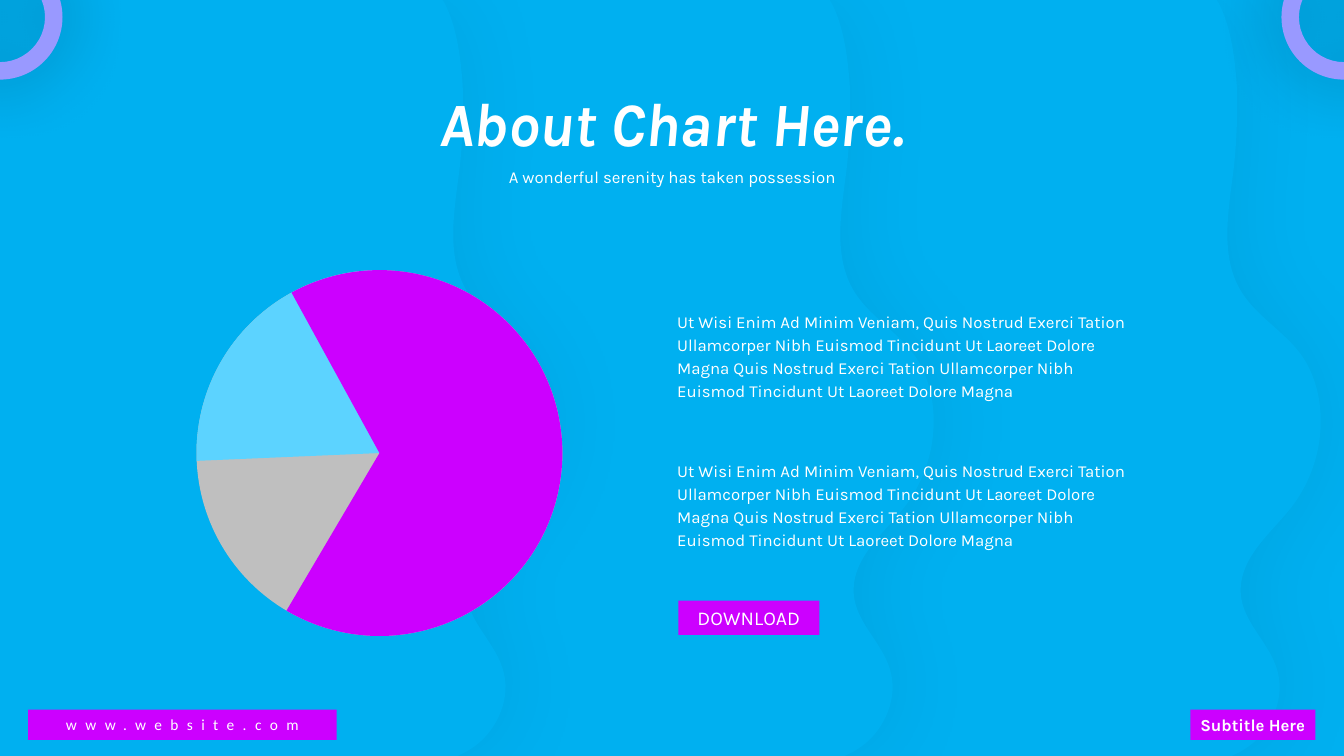
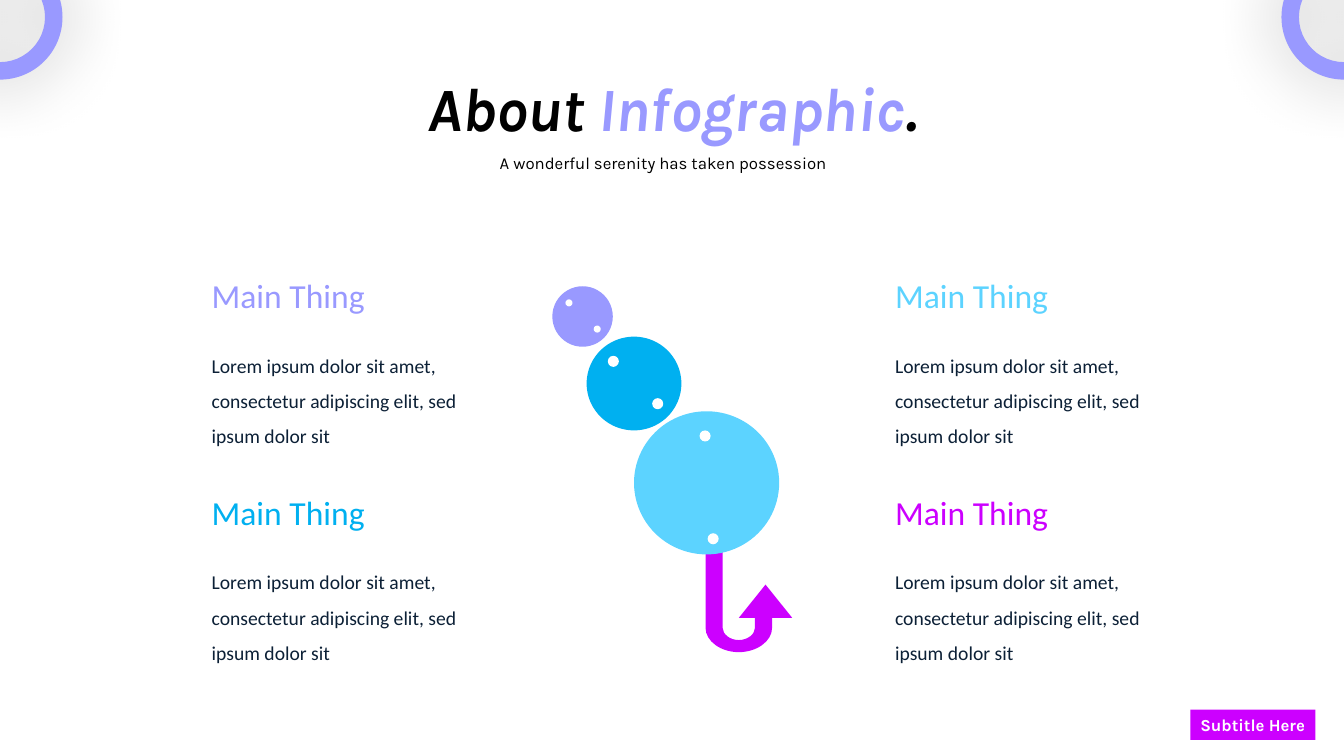
from dataclasses import dataclass
from typing import Any, NamedTuple, Optional

from lxml import etree
from pptx import Presentation
from pptx import util as u
from pptx.dml import color
from pptx.enum import shapes, text
from pptx.oxml import ns


@dataclass(frozen=True)
class Theme:
    width: float = 40 / 3
    height: float = 7.5
    sky: str = "00B0F0"
    aqua: str = "5CD3FF"
    violet: str = "9999FF"
    magenta: str = "CC00FF"
    grey: str = "BFBFBF"
    navy: str = "0C2036"
    white: str = "FFFFFF"
    black: str = "000000"
    display: str = "Karla"
    plain: str = "Calibri"
    title: float = 44
    heading: float = 24
    body: float = 14
    small: float = 12
    caption: float = 11


THEME = Theme()


class Box(NamedTuple):
    left: float
    top: float
    width: float
    height: float

    def emu(self) -> list[u.Length]:
        return [u.Inches(length) for length in self]


class Grid(NamedTuple):
    left: float
    top: float
    column_step: float
    row_step: float

    def cell(self, column: int, row: int, width: float, height: float, drop: float = 0) -> Box:
        return Box(self.left + column * self.column_step,
                   self.top + row * self.row_step + drop, width, height)


class Shadow(NamedTuple):
    opacity: int
    blur: float
    distance: float


class Piece(NamedTuple):
    """A run of text with its own colour."""
    words: str
    colour: str


class Style(NamedTuple):
    size: float
    font: str = THEME.display
    bold: bool = False
    italic: bool = False
    align: Any = text.PP_ALIGN.LEFT
    line_spacing: float = 1.0
    anchor: Any = text.MSO_ANCHOR.TOP
    wrap: bool = True
    inset: bool = True
    tracking: int = 0


class Ball(NamedTuple):
    box: Box
    colour: str
    dot_size: float
    dots: list[tuple[float, float]]


class Slice(NamedTuple):
    """A pie sector, in degrees clockwise from three o'clock."""
    start: float
    end: float
    colour: str


CENTER = text.PP_ALIGN.CENTER
TITLE = Style(THEME.title, bold=True, italic=True, align=CENTER)
TAGLINE = Style(THEME.small, align=CENTER, line_spacing=1.5)
PARAGRAPH = Style(THEME.small, line_spacing=1.14)
BUTTON = Style(THEME.body, align=CENTER)
BADGE = Style(THEME.small, bold=True, wrap=False)
WEBSITE = Style(THEME.caption, THEME.plain, align=CENTER,
                anchor=text.MSO_ANCHOR.MIDDLE, tracking=600)
HEADING = Style(THEME.heading, THEME.plain, wrap=False, inset=False)
DETAIL = Style(THEME.body, THEME.plain, line_spacing=1.5, inset=False)

WAVE_STEP = 3.84
WAVE_SHADOW = Shadow(5, 66, 3)
# A segment holds one point for a line, or three for a curve.
WAVE = [
    [(0, 0)], [(0, 7.5)], [(4.54, 7.5)], [(4.58, 7.48)],
    [(4.61, 7.47), (4.64, 7.45), (4.67, 7.43)],
    [(4.9, 7.29), (5.07, 6.97), (5, 6.68)],
    [(4.93, 6.38), (4.65, 6.19), (4.63, 5.89)],
    [(4.61, 5.57), (4.87, 5.34), (5.06, 5.12)],
    [(5.24, 4.92), (5.37, 4.66), (5.41, 4.37)],
    [(5.45, 4.08), (5.4, 3.78), (5.25, 3.55)],
    [(5.06, 3.27), (4.75, 3.13), (4.6, 2.83)],
    [(4.43, 2.49), (4.51, 2.07), (4.56, 1.67)],
    [(4.59, 1.4), (4.6, 1.11), (4.59, 0.84)],
    [(4.57, 0.56), (4.53, 0.26), (4.41, 0.03)], [(4.39, 0)],
]
HOOK = [
    [(7.33, 6.47)],
    [(7.15, 6.47), (7, 6.36), (7, 6.23)], [(7, 5.1)],
    [(7, 5.06), (7.04, 5.04), (7.09, 5.04)],
    [(7.13, 5.04), (7.17, 5.06), (7.17, 5.1)], [(7.17, 6.23)],
    [(7.17, 6.29), (7.24, 6.35), (7.33, 6.35)],
    [(7.42, 6.35), (7.49, 6.29), (7.49, 6.23)], [(7.49, 5.99)],
    [(7.49, 5.97), (7.51, 5.94), (7.54, 5.93)],
    [(7.58, 5.92), (7.61, 5.93), (7.63, 5.95)], [(7.72, 6.01)],
    [(7.74, 6.02), (7.75, 6.05), (7.73, 6.07)],
    [(7.72, 6.09), (7.69, 6.11), (7.66, 6.11)], [(7.66, 6.23)],
    [(7.66, 6.36), (7.51, 6.47), (7.33, 6.47)],
]
BALLS = [
    Ball(Box(5.82, 3.34, 0.94, 0.93), THEME.sky, 0.11, [(6.03, 3.53), (6.47, 3.95)]),
    Ball(Box(6.29, 4.08, 1.44, 1.42), THEME.aqua, 0.11, [(6.94, 4.27), (7.02, 5.29)]),
    Ball(Box(5.48, 2.84, 0.6, 0.6), THEME.violet, 0.07, [(5.61, 2.97), (5.89, 3.23)]),
]
PIE = Box(1.95, 2.68, 3.63, 3.63)
SLICES = [Slice(177.54, 270, THEME.aqua), Slice(241.28, 120.53, THEME.magenta)]
PARAGRAPHS = Grid(6.62, 3.02, 0, 1.47)
TOPICS = Grid(2.1, 2.73, 6.78, 2.15)
TOPIC_COLOURS = [[THEME.violet, THEME.sky], [THEME.aqua, THEME.magenta]]

SERENITY = "A wonderful serenity has taken possession"
WISI = ("Ut Wisi Enim Ad Minim Veniam, Quis Nostrud Exerci Tation Ullamcorper Nibh "
        "Euismod Tincidunt Ut Laoreet Dolore Magna Quis Nostrud Exerci Tation "
        "Ullamcorper Nibh Euismod Tincidunt Ut Laoreet Dolore Magna")
LOREM = "Lorem ipsum dolor sit amet, consectetur adipiscing elit, sed ipsum dolor sit"


def rgb(value: str) -> color.RGBColor:
    return color.RGBColor.from_string(value)


def paint(shape: Any, fill: str, shadow: Optional[Shadow] = None) -> Any:
    shape.shadow.inherit = False
    shape.fill.solid()
    shape.fill.fore_color.rgb = rgb(fill)
    shape.line.fill.background()
    if shadow:
        effects = shape.element.spPr.find(ns.qn("a:effectLst"))
        outer = etree.SubElement(effects, ns.qn("a:outerShdw"), {
            "blurRad": str(u.Pt(shadow.blur)), "dist": str(u.Pt(shadow.distance)),
            "dir": "0", "algn": "ctr", "rotWithShape": "0"})
        tint = etree.SubElement(outer, ns.qn("a:srgbClr"), val=THEME.black)
        etree.SubElement(tint, ns.qn("a:alpha"), val=str(shadow.opacity * 1000))
    return shape


def add_preset(slide: Any, kind: Any, box: Box, fill: str,
               shadow: Optional[Shadow] = None) -> Any:
    return paint(slide.shapes.add_shape(kind, *box.emu()), fill, shadow)


def add_outline(slide: Any, segments: list, fill: str, shift: float = 0,
                shadow: Optional[Shadow] = None) -> None:
    """Draw a closed outline, bending each three-point segment into a curve."""
    scaled = [[(u.Inches(x + shift), u.Inches(y)) for x, y in segment] for segment in segments]
    start, *rest = [segment[-1] for segment in scaled]
    builder = slide.shapes.build_freeform(*start)
    builder.add_line_segments(rest, close=True)
    shape = paint(builder.convert_to_shape(), fill, shadow)
    lines = list(shape.element.iter(ns.qn("a:lnTo")))
    for line, segment in zip(lines, scaled[1:]):
        if len(segment) == 1:
            continue
        curve = etree.Element(ns.qn("a:cubicBezTo"))
        for x, y in segment:
            etree.SubElement(curve, ns.qn("a:pt"), x=str(x - shape.left), y=str(y - shape.top))
        line.getparent().replace(line, curve)


def write(shape: Any, style: Style, *pieces: Piece) -> None:
    frame = shape.text_frame
    fit = text.MSO_AUTO_SIZE.NONE if style.wrap else text.MSO_AUTO_SIZE.SHAPE_TO_FIT_TEXT
    frame_format = {"word_wrap": style.wrap, "auto_size": fit, "vertical_anchor": style.anchor}
    if not style.inset:
        frame_format |= {f"margin_{side}": 0 for side in ("left", "top", "right", "bottom")}
    for name, value in frame_format.items():
        setattr(frame, name, value)
    paragraph = frame.paragraphs[0]
    paragraph.alignment = style.align
    paragraph.line_spacing = style.line_spacing
    font_format = {"name": style.font, "size": u.Pt(style.size),
                   "bold": style.bold, "italic": style.italic}
    for piece in pieces:
        run = paragraph.add_run()
        run.text = piece.words
        for name, value in font_format.items():
            setattr(run.font, name, value)
        run.font.color.rgb = rgb(piece.colour)
        if style.tracking:
            run._r.get_or_add_rPr().set("spc", str(style.tracking))


def add_text(slide: Any, box: Box, style: Style, *pieces: Piece) -> None:
    write(slide.shapes.add_textbox(*box.emu()), style, *pieces)


def add_label(slide: Any, box: Box, style: Style, words: str) -> None:
    """Draw a magenta bar with white text."""
    bar = add_preset(slide, shapes.MSO_SHAPE.RECTANGLE, box, THEME.magenta)
    write(bar, style, Piece(words, THEME.white))


def add_frame(slide: Any) -> None:
    """Draw the badge and corner rings that every slide carries."""
    add_label(slide, Box(11.81, 7.04, 1.24, 0.3), BADGE, "Subtitle Here")
    size = 1.24
    for center in (0, THEME.width):
        ring = add_preset(slide, shapes.MSO_SHAPE.DONUT,
                          Box(center - size / 2, -0.45, size, size),
                          THEME.violet, Shadow(33, 49, 0))
        ring.adjustments[0] = 0.14


def add_pie(slide: Any) -> None:
    add_preset(slide, shapes.MSO_SHAPE.OVAL, PIE, THEME.grey)
    units_per_degree = 0.6
    for part in SLICES:
        sector = add_preset(slide, shapes.MSO_SHAPE.PIE, PIE, part.colour)
        for index, angle in enumerate((part.start, part.end)):
            sector.adjustments[index] = angle * units_per_degree


def add_slide(presentation: Any, background: str) -> Any:
    slide = presentation.slides.add_slide(presentation.slide_layouts[6])
    slide.background.fill.solid()
    slide.background.fill.fore_color.rgb = rgb(background)
    return slide


def build_chart_slide(presentation: Any) -> None:
    slide = add_slide(presentation, THEME.sky)
    for column in (2, 1, 0):
        add_outline(slide, WAVE, THEME.sky, column * WAVE_STEP, WAVE_SHADOW)
    add_text(slide, Box(3.37, 0.79, 6.59, 0.84), TITLE, Piece("About Chart Here.", THEME.white))
    add_text(slide, Box(4.46, 1.51, 4.42, 0.37), TAGLINE, Piece(SERENITY, THEME.white))
    add_pie(slide)
    for row in range(2):
        add_text(slide, PARAGRAPHS.cell(0, row, 4.76, 1.01), PARAGRAPH, Piece(WISI, THEME.white))
    add_label(slide, Box(6.73, 5.96, 1.4, 0.34), BUTTON, "DOWNLOAD")
    add_label(slide, Box(0.28, 7.04, 3.06, 0.3), WEBSITE, "www.website.com")
    add_frame(slide)


def build_infographic_slide(presentation: Any) -> None:
    slide = add_slide(presentation, THEME.white)
    add_outline(slide, HOOK, THEME.magenta)
    add_preset(slide, shapes.MSO_SHAPE.ISOSCELES_TRIANGLE, Box(7.33, 5.8, 0.53, 0.33), THEME.magenta)
    for ball in BALLS:
        add_preset(slide, shapes.MSO_SHAPE.OVAL, ball.box, ball.colour)
        for left, top in ball.dots:
            add_preset(slide, shapes.MSO_SHAPE.OVAL,
                       Box(left, top, ball.dot_size, ball.dot_size), THEME.white)
    for column, colours in enumerate(TOPIC_COLOURS):
        for row, colour in enumerate(colours):
            add_text(slide, TOPICS.cell(column, row, 1.68, 0.4), HEADING, Piece("Main Thing", colour))
            add_text(slide, TOPICS.cell(column, row, 2.64, 1.02, 0.66), DETAIL, Piece(LOREM, THEME.navy))
    add_text(slide, Box(2.37, 0.64, 8.6, 0.84), TITLE, Piece("About ", THEME.black),
             Piece("Infographic", THEME.violet), Piece(".", THEME.black))
    add_text(slide, Box(4.37, 1.37, 4.42, 0.37), TAGLINE, Piece(SERENITY, THEME.black))
    add_frame(slide)


def main() -> None:
    presentation = Presentation()
    presentation.slide_width = u.Inches(THEME.width)
    presentation.slide_height = u.Inches(THEME.height)
    build_chart_slide(presentation)
    build_infographic_slide(presentation)
    presentation.save("out.pptx")


if __name__ == "__main__":
    main()
